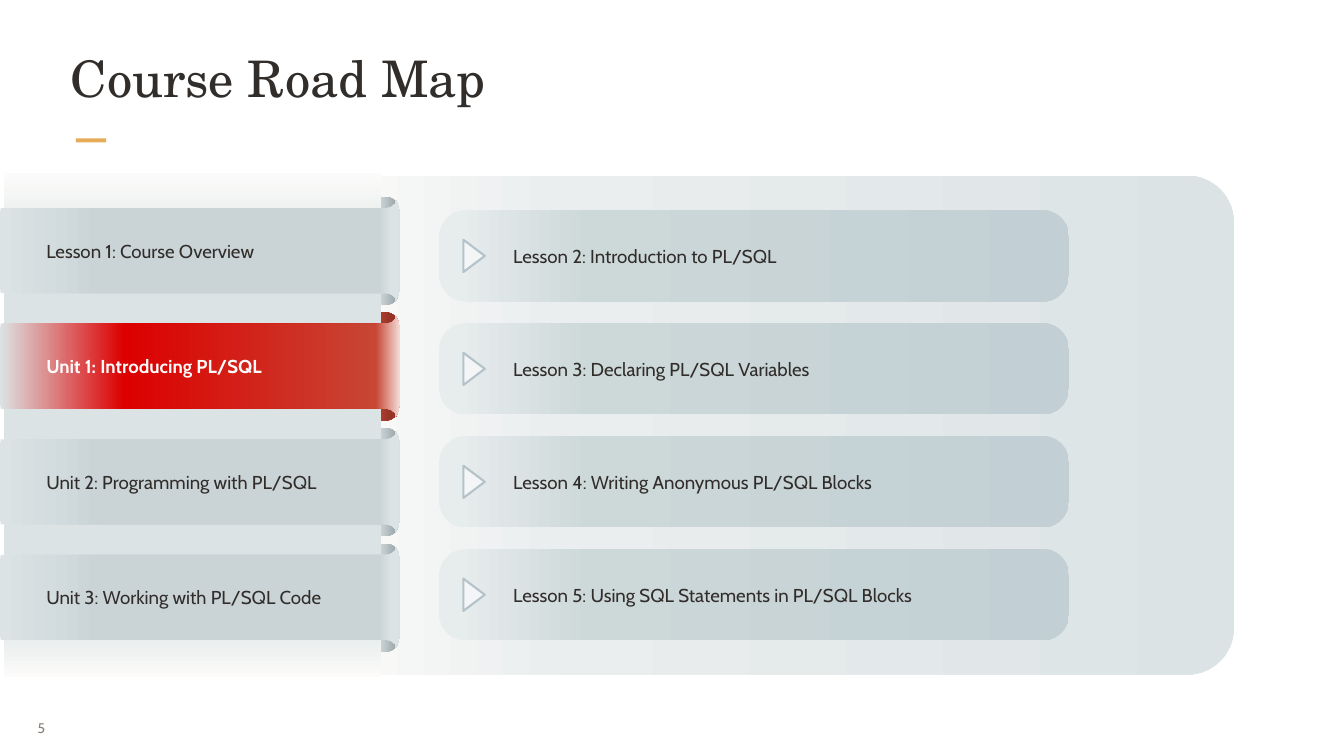
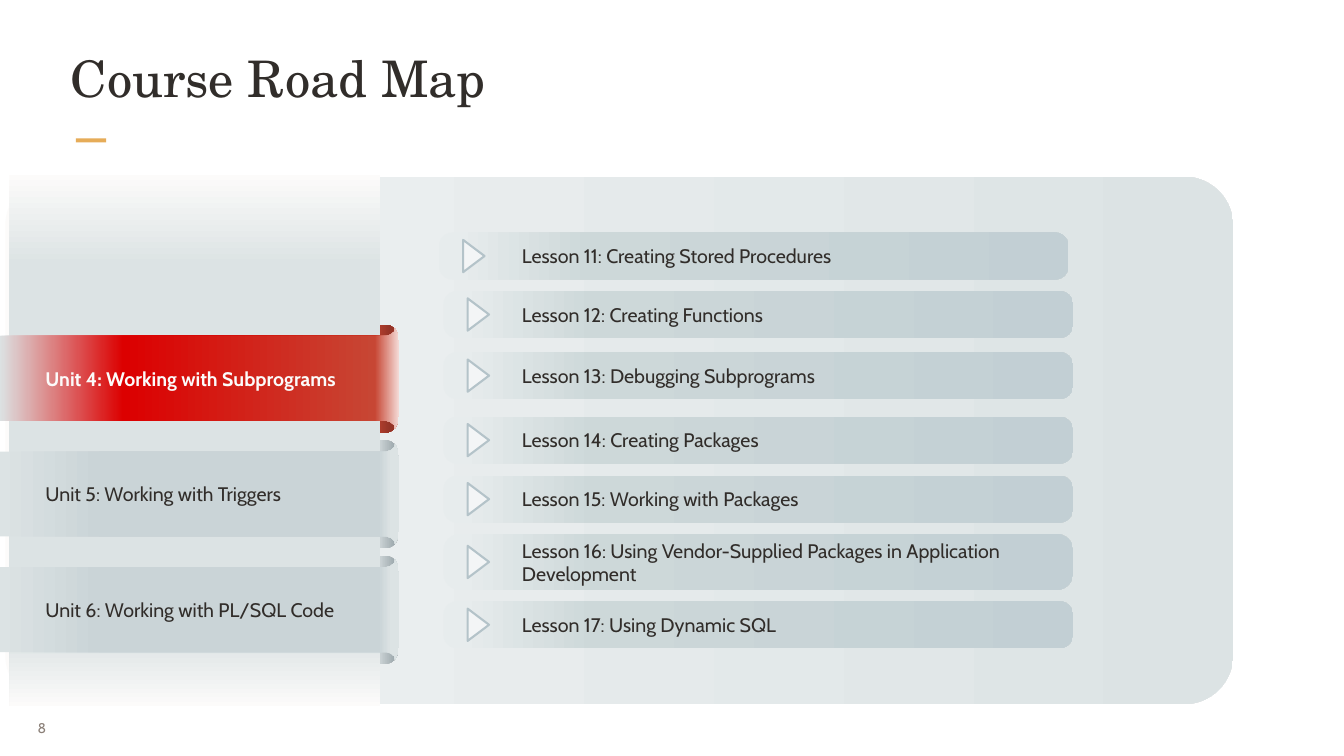
from lxml import etree
from pptx import Presentation
from pptx.dml.color import RGBColor
from pptx.enum.shapes import MSO_SHAPE
from pptx.enum.text import MSO_ANCHOR, MSO_AUTO_SIZE, PP_ALIGN
from pptx.oxml.ns import qn
from pptx.util import Cm, Pt

RECTANGLE = MSO_SHAPE.RECTANGLE
ROUNDED = MSO_SHAPE.ROUNDED_RECTANGLE
TRIANGLE = MSO_SHAPE.ISOSCELES_TRIANGLE
TOP, MIDDLE = MSO_ANCHOR.TOP, MSO_ANCHOR.MIDDLE
LEFT, JUSTIFY = PP_ALIGN.LEFT, PP_ALIGN.JUSTIFY
NO_FIT, GROW = MSO_AUTO_SIZE.NONE, MSO_AUTO_SIZE.SHAPE_TO_FIT_TEXT

TITLE = "Course Road Map"
TITLE_FONT, BODY_FONT = "TeX Gyre Schola", "Cabin"
INK, PALE, GRAY, ACCENT = "312D2A", "FCFBFA", "8B8078", "E6AC58"
ARROW_FILL, ARROW_LINE = "F3F5F6", "B4C3C9"

PANEL_STOPS = [(0, "FCFBFA"), (26, "EAEEEF"), (100, "DCE3E4")]
SIDEBAR_STOPS = [(0, "FCFBFA"), (17, "DCE3E4"), (87, "DCE3E4"), (100, "FCFBFA")]
LESSON_STOPS = [(3, "E7ECED"), (24, "CDD8D9"), (100, "C2CFD4")]
CURL_STOPS = {True: [(73, "C74634"), (92, "953427")],
              False: [(77, "DEE4E5"), (99, "96A2A7")]}
BANNER_STOPS = {True: [(0, "DCE3E4"), (31, "DC0000"), (94, "C74634"), (100, "F4DAD6")],
                False: [(0, "DCE3E4"), (25, "CAD4D7"), (95, "CAD4D7"), (98, "DCE3E4")]}

BANNER_HEIGHT, BANNER_PITCH = 3.81, 4.37
BANNER_UPPER_EDGE = [(0, 0.5), (0.03, 0.3), (14.63, 0.3), (14.8, 0.25), (14.94, 0.13),
                     (14.96, 0), (15.06, 0.22), (15.11, 0.51)]
LESSON_WIDTH = 23.8
ARROW_WIDTH, ARROW_HEIGHT, ARROW_CENTER = 1.22, 0.81, 1.32

ROAD_MAPS = [
    {
        "number": "5", "size": 20, "text_height": 1.12,
        "panel": (12.01, 6.65, 34.62, 18.85),
        "sidebar": (0.15, 6.55, 14.25, 19.05),
        "units_left": 0, "units_top": 7.57, "active": 1,
        "units": ["Lesson 1: Course Overview", "Unit 1: Introducing PL/SQL",
                  "Unit 2: Programming with PL/SQL", "Unit 3: Working with PL/SQL Code"],
        "lesson_text_left": 19.15,
        "lessons": [
            (16.6, 7.95, 3.45, "Lesson 2: Introduction to PL/SQL"),
            (16.6, 12.22, 3.45, "Lesson 3: Declaring PL/SQL Variables"),
            (16.6, 16.49, 3.45, "Lesson 4: Writing Anonymous PL/SQL Blocks"),
            (16.6, 20.76, 3.45, "Lesson 5: Using SQL Statements in PL/SQL Blocks"),
        ],
    },
    {
        "number": "8", "size": 21, "text_height": 1.14,
        "panel": (0.2, 6.68, 46.41, 19.94),
        "sidebar": (0.36, 6.6, 14.02, 20.09),
        "units_left": -0.03, "units_top": 12.4, "active": 0,
        "units": ["Unit 4: Working with Subprograms", "Unit 5: Working with Triggers",
                  "Unit 6: Working with PL/SQL Code"],
        "lesson_text_left": 19.48,
        "lessons": [
            (16.59, 8.79, 1.78, "Lesson 11: Creating Stored Procedures"),
            (16.76, 11, 1.78, "Lesson 12: Creating Functions"),
            (16.76, 13.31, 1.78, "Lesson 13: Debugging Subprograms"),
            (16.76, 15.75, 1.78, "Lesson 14: Creating Packages"),
            (16.76, 17.98, 1.78, "Lesson 15: Working with Packages"),
            (16.76, 20.19, 2.11, "Lesson 16: Using Vendor-Supplied Packages in "
                                 "Application Development"),
            (16.76, 22.73, 1.78, "Lesson 17: Using Dynamic SQL"),
        ],
    },
]


def color(value):
    return RGBColor.from_string(value)


def paint_gradient(shape, stops, angle=0):
    shape.shadow.inherit = False
    shape.line.fill.background()
    shape.fill.gradient()
    gradient = shape.element.spPr.find(qn("a:gradFill"))
    for child in list(gradient):
        gradient.remove(child)
    stop_list = etree.SubElement(gradient, qn("a:gsLst"))
    for position, value in stops:
        stop = etree.SubElement(stop_list, qn("a:gs"), pos=str(position * 1000))
        etree.SubElement(stop, qn("a:srgbClr"), val=value)
    etree.SubElement(gradient, qn("a:lin"), ang=str(angle * 60000), scaled="0")


def add_block(page, kind, place, roundness=None):
    shape = page.shapes.add_shape(kind, *map(Cm, place))
    shape.shadow.inherit = False
    if roundness is not None:
        shape.adjustments[0] = roundness
    return shape


def paint_solid(shape, fill, line=None):
    shape.fill.solid()
    shape.fill.fore_color.rgb = color(fill)
    if line:
        shape.line.color.rgb = color(line)
        shape.line.width = Pt(2.25)
    else:
        shape.line.fill.background()


def write(frame, text, size, value, font=BODY_FONT, bold=False, align=LEFT):
    para = frame.paragraphs[0]
    para.alignment = align
    span = para.add_run()
    span.text = text
    span.font.size = Pt(size)
    span.font.name = font
    span.font.bold = bold
    span.font.color.rgb = color(value)


def set_margins(frame, across, down):
    frame.margin_left = frame.margin_right = Cm(across)
    frame.margin_top = frame.margin_bottom = Cm(down)


def add_label(page, left, center, width, height, text, size, value=INK, bold=False):
    box = page.shapes.add_textbox(*map(Cm, (left, center - height / 2, width, height)))
    frame = box.text_frame
    frame.word_wrap = True
    frame.auto_size = GROW
    frame.vertical_anchor = MIDDLE
    write(frame, text, size, value, bold=bold)


def add_page_frame(page, number):
    paint_solid(add_block(page, RECTANGLE, (2.87, 5.23, 1.14, 0.15)), ACCENT)

    box = page.shapes.add_textbox(*map(Cm, (1.09, 26.77, 1.65, 1.47)))
    box.text_frame.word_wrap = False
    box.text_frame.vertical_anchor = MIDDLE
    set_margins(box.text_frame, 0.33, 0.18)
    write(box.text_frame, number, 15, GRAY, align=JUSTIFY)

    title = page.shapes.title
    title.left, title.top, title.width, title.height = map(Cm, (2.59, 1.7, 45.62, 3.25))
    frame = title.text_frame
    frame.word_wrap = True
    frame.auto_size = NO_FIT
    frame.vertical_anchor = TOP
    set_margins(frame, 0.08, 0.08)
    write(frame, TITLE, 54, INK, font=TITLE_FONT)


def add_banner(page, left, top, active):
    lower_edge = [(x, BANNER_HEIGHT - y) for x, y in reversed(BANNER_UPPER_EDGE)]
    points = [(Cm(left + x), Cm(top + y)) for x, y in BANNER_UPPER_EDGE + lower_edge]
    builder = page.shapes.build_freeform(*points[0], scale=1.0)
    builder.add_line_segments(points[1:], close=True)
    paint_gradient(builder.convert_to_shape(), BANNER_STOPS[active])


def add_units(page, road_map):
    left = road_map["units_left"]
    units = [(road_map["units_top"] + index * BANNER_PITCH, text, index == road_map["active"])
             for index, text in enumerate(road_map["units"])]
    for top, text, active in units:
        curl = add_block(page, ROUNDED, (left + 11.07, top - 0.13, 4.01, 4.09), 0.126)
        paint_gradient(curl, CURL_STOPS[active])
    paint_gradient(add_block(page, RECTANGLE, road_map["sidebar"]), SIDEBAR_STOPS, 90)
    for top, text, active in units:
        add_banner(page, left, top, active)
        add_label(page, left + 1.5, top + BANNER_HEIGHT / 2, 12.93, road_map["text_height"],
                  text, road_map["size"], PALE if active else INK, active)


def add_lessons(page, road_map):
    for left, top, height, text in road_map["lessons"]:
        center = top + height / 2
        bar = add_block(page, ROUNDED, (left, top, LESSON_WIDTH, height), 0.289)
        paint_gradient(bar, LESSON_STOPS)
        arrow = add_block(page, TRIANGLE, (left + ARROW_CENTER - ARROW_WIDTH / 2,
                                           center - ARROW_HEIGHT / 2,
                                           ARROW_WIDTH, ARROW_HEIGHT))
        arrow.rotation = 90
        paint_solid(arrow, ARROW_FILL, ARROW_LINE)
        add_label(page, road_map["lesson_text_left"], center, 18.57, road_map["text_height"],
                  text, road_map["size"])


def main():
    deck = Presentation()
    deck.slide_width, deck.slide_height = Cm(50.8), Cm(28.58)
    for road_map in ROAD_MAPS:
        page = deck.slides.add_slide(deck.slide_layouts[5])
        add_page_frame(page, road_map["number"])
        paint_gradient(add_block(page, ROUNDED, road_map["panel"], 0.093), PANEL_STOPS)
        add_units(page, road_map)
        add_lessons(page, road_map)
    deck.save("out.pptx")


if __name__ == "__main__":
    main()
